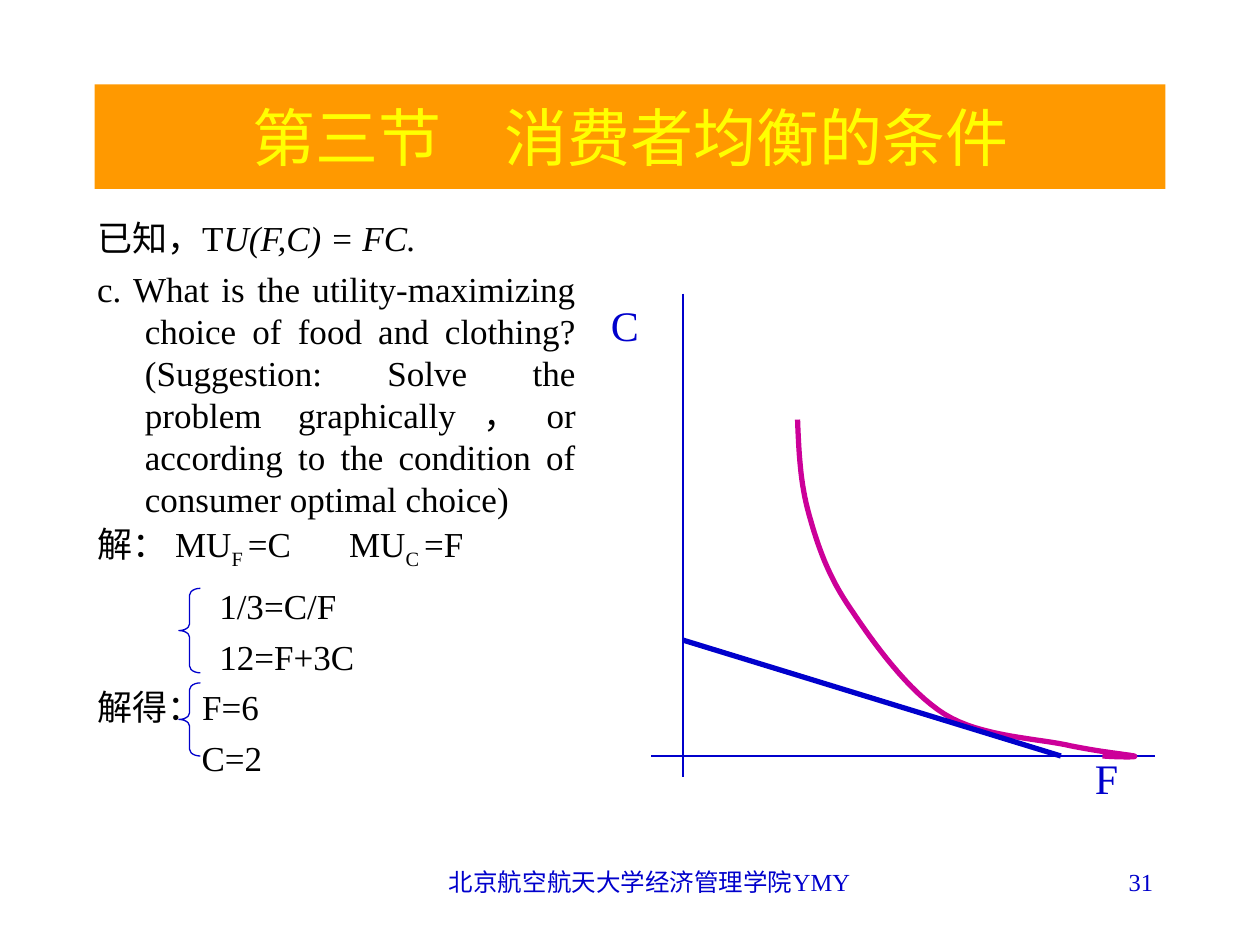
"""Build a slide on the consumer equilibrium condition, with its solution and graph."""
import pptx
import pptx.dml.color
import pptx.enum.shapes
import pptx.enum.text
import pptx.oxml
import pptx.oxml.ns
import pptx.util
from lxml import etree

Inches = pptx.util.Inches
Pt = pptx.util.Pt
RGBColor = pptx.dml.color.RGBColor
ALIGN = pptx.enum.text.PP_ALIGN
ANCHOR = pptx.enum.text.MSO_ANCHOR
qn = pptx.oxml.ns.qn

BLUE = RGBColor(0x00, 0x00, 0xCC)
MAGENTA = RGBColor(0xCC, 0x00, 0x99)
ORANGE = RGBColor(0xFF, 0x99, 0x00)
YELLOW = RGBColor(0xFF, 0xFF, 0x00)
BLACK = RGBColor(0x00, 0x00, 0x00)
FONT = "Times New Roman"
SUBSCRIPT = "-25000"
HANG = 0.38

SOLUTION = [
    ([("已知，T", ""), ("U(F,C) = FC.", "italic")], HANG, -HANG, 0),
    ([("c. What is the utility-maximizing choice of food and clothing? "
       "(Suggestion: Solve the problem graphically，or according to the "
       "condition of consumer optimal choice)", "")], HANG, -HANG, 5),
    ([("解： MU", ""), ("F ", "sub"), ("=C\tMU", ""), ("C ", "sub"), ("=F", "")], 0, 0, 5),
    ([("1/3=C/F", "")], 0.97, 0, 8),
    ([("12=F+3C", "")], 0.97, 0, 5),
    ([("解得：F=6", "")], HANG, -HANG, 5),
    ([("C=2", "")], 0.83, 0, 5),
]
SECOND_UTILITY_TAB = 1.88

CURVE_START = (6.33, 3.33)
CURVE = [
    ((6.34, 3.58), (6.35, 3.83), (6.42, 4.08)),
    ((6.49, 4.33), (6.57, 4.57), (6.75, 4.83)),
    ((6.93, 5.1), (7.21, 5.49), (7.5, 5.67)),
    ((7.79, 5.85), (8.25, 5.86), (8.5, 5.92)),
    ((8.75, 5.97), (8.96, 5.99), (9, 6)),
    ((9.04, 6.01), (8.9, 6.01), (8.75, 6)),
]


def place(s, left, top, width, height):
    """Move and size a shape, in inches."""
    s.left, s.top = Inches(left), Inches(top)
    s.width, s.height = Inches(width), Inches(height)


def add_run(p, text, size, color, style=""):
    """Add one formatted run to a paragraph."""
    r = p.add_run()
    r.text = text
    r.font.name = FONT
    r.font.size = Pt(size)
    r.font.color.rgb = color
    r.font.italic = style == "italic"
    if style == "sub":
        r.font._element.set("baseline", SUBSCRIPT)


def add_label(slide, box, text, size, align=ALIGN.LEFT, wrap=True):
    """Add a one-line blue text box."""
    tf = slide.shapes.add_textbox(*map(Inches, box)).text_frame
    tf.word_wrap = wrap
    p = tf.paragraphs[0]
    p.alignment = align
    add_run(p, text, size, BLUE)


def fill_title(s):
    """Format the title placeholder as an orange band."""
    place(s, 0.75, 0.67, 8.5, 0.83)
    s.fill.solid()
    s.fill.fore_color.rgb = ORANGE
    tf = s.text_frame
    tf.auto_size = pptx.enum.text.MSO_AUTO_SIZE.NONE
    tf.vertical_anchor = ANCHOR.MIDDLE
    p = tf.paragraphs[0]
    p.alignment = ALIGN.CENTER
    add_run(p, "第三节　消费者均衡的条件", 36, YELLOW)


def set_indent(p, margin, indent):
    """Remove the bullet, then set the indents and the tab stop."""
    ppr = p._p.get_or_add_pPr()
    ppr.set("marL", str(Inches(margin)))
    ppr.set("indent", str(Inches(indent)))
    etree.SubElement(ppr, qn("a:buNone"))
    tabs = etree.SubElement(ppr, qn("a:tabLst"))
    etree.SubElement(tabs, qn("a:tab"), pos=str(Inches(SECOND_UTILITY_TAB)), algn="l")


def fill_body(s):
    """Write the question and its solution in the body placeholder."""
    place(s, 0.67, 1.67, 4, 5)
    tf = s.text_frame
    tf.word_wrap = True
    tf.auto_size = pptx.enum.text.MSO_AUTO_SIZE.NONE
    tf.vertical_anchor = ANCHOR.TOP
    for i, (runs, margin, indent, before) in enumerate(SOLUTION):
        p = tf.add_paragraph() if i else tf.paragraphs[0]
        set_indent(p, margin, indent)
        p.alignment = ALIGN.JUSTIFY
        p.line_spacing = Pt(24)
        p.space_before = Pt(before)
        for text, style in runs:
            add_run(p, text, 20, BLACK, style)


def add_line(slide, start, end, width):
    """Add a straight blue line without a shadow."""
    s = slide.shapes.add_connector(
        pptx.enum.shapes.MSO_CONNECTOR.STRAIGHT, *map(Inches, start + end))
    s.line.color.rgb = BLUE
    s.line.width = Pt(width)
    etree.SubElement(s._element.spPr, qn("a:effectLst"))


def outline(s, color, width):
    """Leave a shape with only its outline."""
    s.shadow.inherit = False
    s.fill.background()
    s.line.color.rgb = color
    s.line.width = Pt(width)


def add_brace(slide, top, height):
    """Add a left brace beside a pair of equations."""
    s = slide.shapes.add_shape(
        pptx.enum.shapes.MSO_SHAPE.LEFT_BRACE,
        *map(Inches, (1.42, top, 0.17, height)))
    s.adjustments[0] = 0.31
    outline(s, BLUE, 0.75)


def bezier(points, t):
    """Return the point at t on a cubic Bezier curve."""
    u = 1 - t
    weights = (u ** 3, 3 * u * u * t, 3 * u * t * t, t ** 3)
    return tuple(Inches(sum(w * pt[axis] for w, pt in zip(weights, points)))
                 for axis in (0, 1))


def add_indifference_curve(slide, steps=16):
    """Add the smooth indifference curve as a freeform."""
    builder = slide.shapes.build_freeform(*map(Inches, CURVE_START))
    start, vertices = CURVE_START, []
    for segment in CURVE:
        points = (start,) + segment
        vertices += [bezier(points, i / steps) for i in range(1, steps + 1)]
        start = segment[-1]
    builder.add_line_segments(vertices, close=False)
    outline(builder.convert_to_shape(), MAGENTA, 3)


def main():
    """Create the presentation and save it."""
    prs = pptx.Presentation()
    prs.slide_width, prs.slide_height = Inches(10), Inches(7.5)
    slide = prs.slides.add_slide(prs.slide_layouts[1])
    fill_title(slide.shapes.title)
    fill_body(slide.placeholders[1])
    add_line(slide, (5.42, 2.33), (5.42, 6.17), 0.75)
    add_line(slide, (5.17, 6), (9.17, 6), 0.75)
    add_label(slide, (8.59, 5.92, 0.38, 0.5), "F", 24, wrap=False)
    add_label(slide, (4.75, 2.33, 0.42, 0.5), "C", 24, wrap=False)
    add_indifference_curve(slide)
    add_line(slide, (5.42, 5.08), (8.42, 6), 3)
    add_brace(slide, 4.67, 0.67)
    add_brace(slide, 5.42, 0.58)
    add_label(slide, (3.42, 6.83, 3.47, 0.3), "北京航空航天大学经济管理学院YMY", 14, ALIGN.CENTER)
    add_label(slide, (7.17, 6.83, 2.08, 0.5), "31", 14, ALIGN.RIGHT)
    prs.save("out.pptx")


if __name__ == "__main__":
    main()
